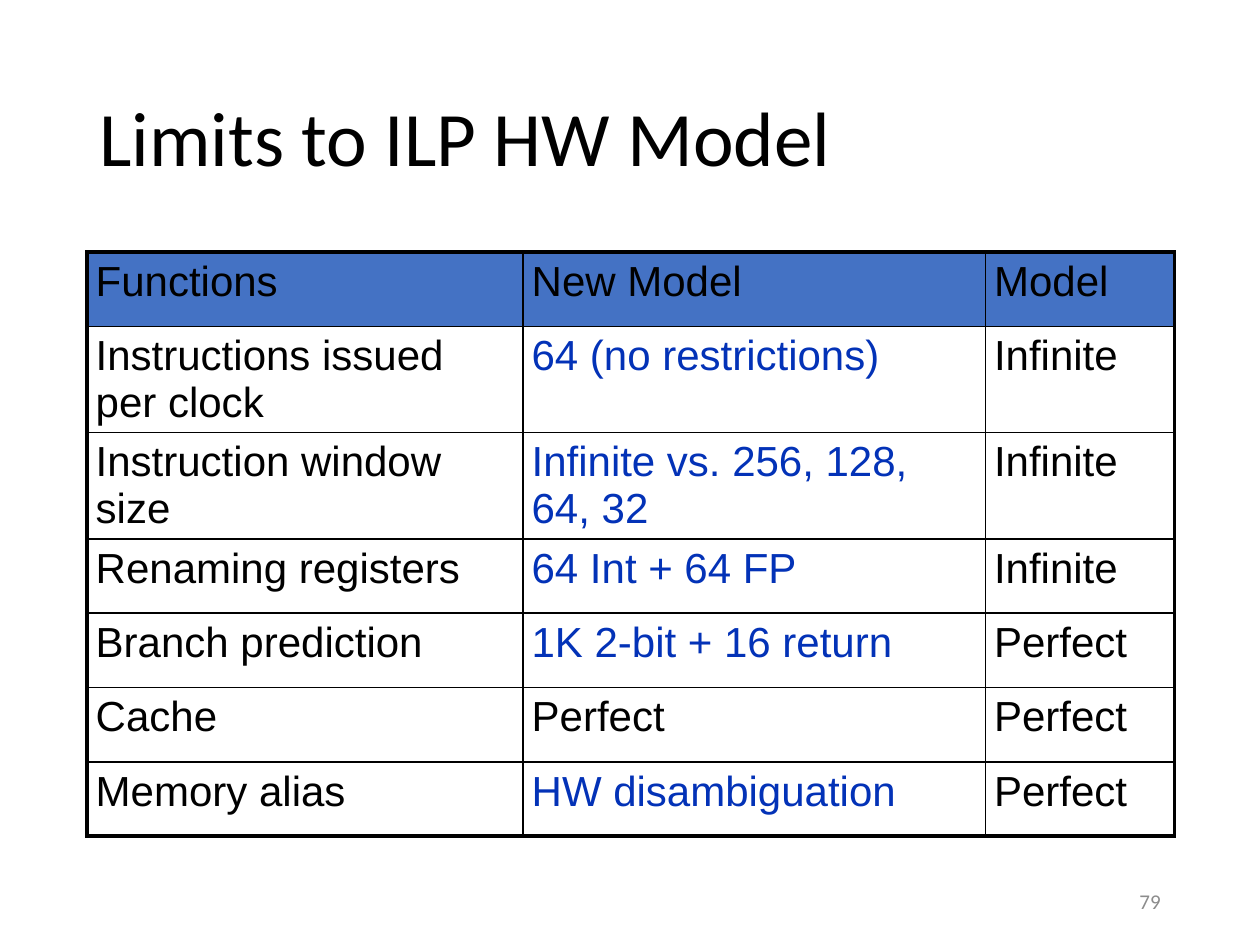
from lxml import etree
from pptx import Presentation
from pptx import util as u
from pptx.dml.color import RGBColor
from pptx.enum import text
from pptx.oxml import ns

BLACK = RGBColor(0x00, 0x00, 0x00)
WHITE = RGBColor(0xFF, 0xFF, 0xFF)
HEAD = RGBColor(0x44, 0x72, 0xC4)
BLUE = RGBColor(0x03, 0x32, 0xB7)
GRAY = RGBColor(0x8C, 0x8C, 0x8C)

LEFT, WIDE = 0.69, 8.62
THIN, THICK = 1, 2.25


def style(para, name, size, color):
    para.font.name = name
    para.font.size = u.Pt(size)
    para.font.color.rgb = color


def edge(cell, side, width):
    props = cell._tc.get_or_add_tcPr()
    line = etree.SubElement(props, ns.qn("a:ln" + side), w=str(u.Pt(width)))
    fill = etree.SubElement(line, ns.qn("a:solidFill"))
    etree.SubElement(fill, ns.qn("a:srgbClr"), val=str(BLACK))


deck = Presentation()
deck.slide_width, deck.slide_height = u.Inches(10), u.Inches(7.5)
slide = deck.slides.add_slide(deck.slide_layouts[5])

# Title
title = slide.shapes.title
title.left, title.top = u.Inches(LEFT), u.Inches(0.4)
title.width, title.height = u.Inches(WIDE), u.Inches(1.45)
frame = title.text_frame
frame.text = "Limits to ILP HW Model"
frame.vertical_anchor = text.MSO_ANCHOR.MIDDLE
para = frame.paragraphs[0]
para.alignment = text.PP_ALIGN.LEFT
para.line_spacing = 0.9
style(para, "Calibri", 44, BLACK)

# Table of model limits
data = [
    ("Functions", "New Model", "Model"),
    ("Instructions issued per clock", "64 (no restrictions)", "Infinite"),
    ("Instruction window size", "Infinite vs. 256, 128, 64, 32", "Infinite"),
    ("Renaming registers", "64 Int + 64 FP", "Infinite"),
    ("Branch prediction", "1K 2-bit + 16 return", "Perfect"),
    ("Cache", "Perfect", "Perfect"),
    ("Memory alias", "HW disambiguation", "Perfect"),
]
cols = [3.46, 3.67, 1.5]
rows = [0.59, 0.77, 0.77] + [0.59] * 4
table = slide.shapes.add_table(
    len(rows), len(cols), u.Inches(LEFT), u.Inches(2),
    u.Inches(sum(cols)), u.Inches(sum(rows))).table
for col, width in zip(table.columns, cols):
    col.width = u.Inches(width)
for row, height in zip(table.rows, rows):
    row.height = u.Inches(height)

for r, words in enumerate(data):
    for c, word in enumerate(words):
        cell = table.cell(r, c)
        cell.text = word
        cell.margin_left = cell.margin_right = u.Inches(0.07)
        cell.margin_top = cell.margin_bottom = u.Inches(0.05)
        # Thick lines run round the outside only
        outer = {"L": c == 0, "R": c == len(cols) - 1,
                 "T": r == 0, "B": r == len(rows) - 1}
        for side, out in outer.items():
            edge(cell, side, THICK if out else THIN)
        cell.fill.solid()
        cell.fill.fore_color.rgb = WHITE if r else HEAD
        # Blue marks what differs from the perfect model
        new = r > 0 and c == 1 and word != words[2]
        para = cell.text_frame.paragraphs[0]
        style(para, "Arial", 24, BLUE if new else BLACK)
        para.font.bold = False

# Slide number
box = slide.shapes.add_textbox(
    u.Inches(7.06), u.Inches(6.95), u.Inches(2.25), u.Inches(0.4))
frame = box.text_frame
frame.word_wrap = True
frame.vertical_anchor = text.MSO_ANCHOR.MIDDLE
frame.text = "79"
para = frame.paragraphs[0]
para.alignment = text.PP_ALIGN.RIGHT
style(para, "Calibri", 12, GRAY)

deck.save("out.pptx")
